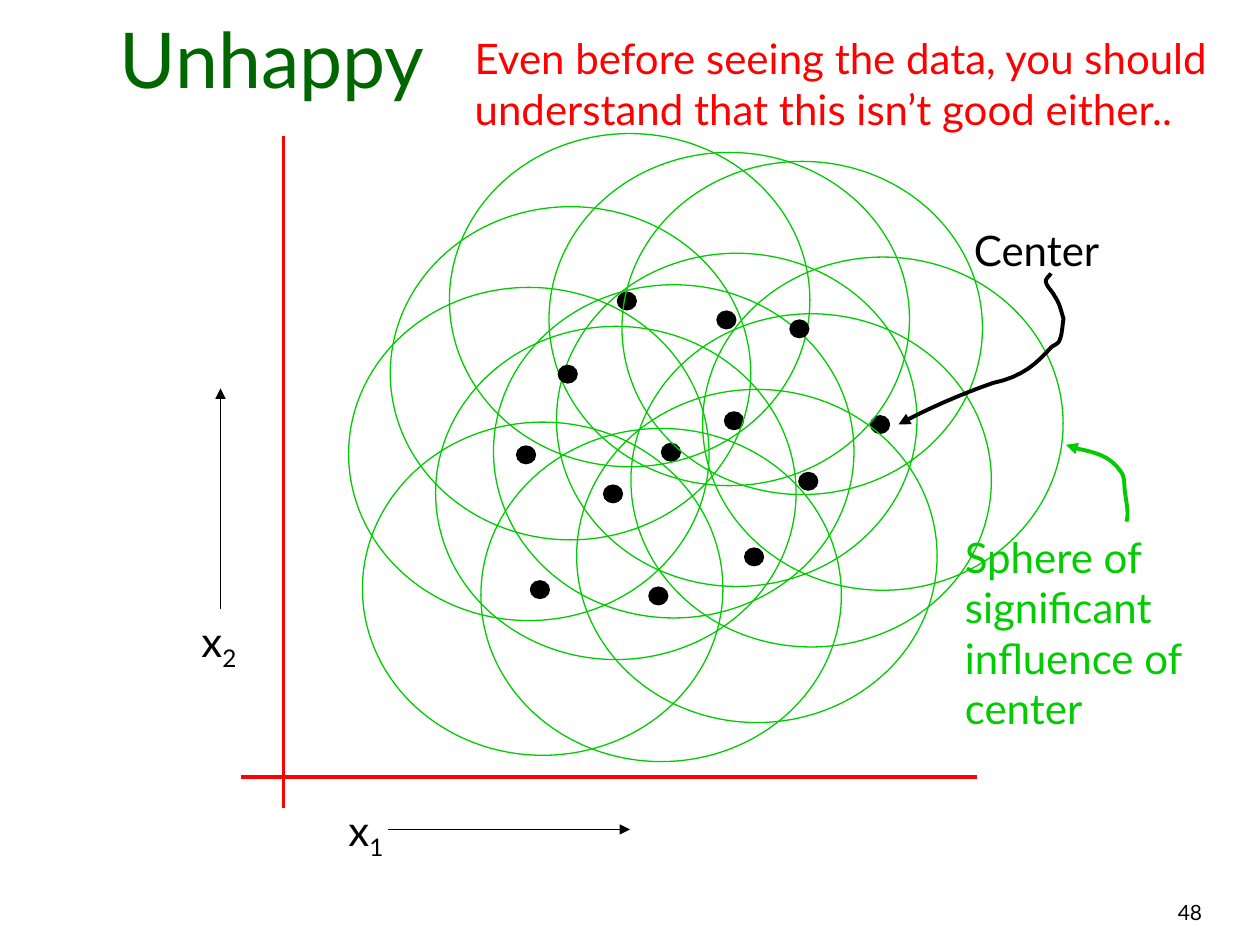
"""Build the slide on radial basis centers whose spheres of influence are too wide."""
from typing import NamedTuple

from lxml import etree
from pptx import Presentation
from pptx.dml.color import RGBColor
from pptx.enum.shapes import MSO_CONNECTOR, MSO_SHAPE
from pptx.enum.text import MSO_ANCHOR, PP_ALIGN
from pptx.oxml.ns import qn
from pptx.util import Pt

STRAIGHT = MSO_CONNECTOR.STRAIGHT
OVAL = MSO_SHAPE.OVAL
BOTTOM = MSO_ANCHOR.BOTTOM
LEFT, CENTER, RIGHT = PP_ALIGN.LEFT, PP_ALIGN.CENTER, PP_ALIGN.RIGHT

FONT = "Lato"
BLACK, RED, GREEN, DARK_GREEN = "000000", "FF0000", "00CC00", "006600"
DOT_SIZE = (10.8, 10.1)
SPHERE_SIZE = (206, 190.4)
SPHERE_OFFSET = (-96, -90.7)
CURVE_STEPS = 8

Point = tuple[float, float]


class Label(NamedTuple):
    text: str
    left: float
    top: float
    width: float
    height: float
    color: str = BLACK
    size: float = 24
    align: PP_ALIGN = LEFT
    subscript: str = ""


class Line(NamedTuple):
    start: Point
    end: Point
    color: str
    width: float
    arrow: bool = False


class Curve(NamedTuple):
    color: str
    start: Point
    segments: list[tuple[Point, Point, Point]]


LABELS = [
    Label("48", 411.8, 510.5, 282.2, 23.8, size=12, align=RIGHT),
    Label("x", 192, 456, 36, 40, subscript="1"),
    Label("x", 108, 348, 36, 40, subscript="2"),
    Label("Center", 549.4, 124.6, 170, 36),
    Label("Sphere of significant influence of center", 544.3, 300.2, 162.7, 122.4, GREEN),
    Label("Even before seeing the data, you should understand that this isn’t good either..",
          264.2, 15.1, 450.7, 93.6, RED),
]

LINES = [
    Line((162, 78), (162, 462), RED, 2.25),
    Line((138, 444), (558, 444), RED, 2.25),
    Line((222, 474), (360, 474), BLACK, 1, True),
    Line((126, 348), (126, 222), BLACK, 1, True),
]

DOTS = [
    (344.9, 277.2), (497.5, 237.6), (378, 253.4), (370.8, 335.5), (425.5, 313.2),
    (295.2, 254.9), (409.7, 177.8), (414, 235.4), (352.8, 167), (303.1, 331.9),
    (319, 208.8), (456.5, 270), (451.4, 182.9),
]

CURVES = [
    Curve(GREEN, (643.7, 298.1), [
        ((645.1, 293), (643.7, 288), (643, 282.2)),
        ((642.2, 278.6), (643, 272.9), (640.8, 270)),
        ((634.3, 259.9), (625, 258.5), (615.6, 256.3)),
        ((612.7, 255.6), (611.3, 254.2), (609.1, 254.2)),
    ]),
    Curve(BLACK, (600.5, 156.2), [
        ((599.8, 157.7), (597.6, 159.1), (597.6, 160.6)),
        ((597.6, 163.4), (601.2, 166.3), (602.6, 169.2)),
        ((605.5, 173.5), (606.2, 177.1), (607.7, 182.2)),
        ((607, 186.5), (607, 190.8), (605.5, 194.4)),
        ((604.8, 196.6), (601.9, 197.3), (600.5, 198.7)),
        ((592.6, 207.4), (584.6, 215.3), (567.4, 218.9)),
        ((548.6, 225.4), (529.2, 234), (513.4, 242.6)),
    ]),
]


def paint(color_format, color: str) -> None:
    color_format.rgb = RGBColor.from_string(color)


def format_text(frame, color: str, size: float, align: PP_ALIGN) -> None:
    frame.word_wrap = True
    para = frame.paragraphs[0]
    para.alignment = align
    for span in para.runs:
        span.font.name = FONT
        span.font.size = Pt(size)
        paint(span.font.color, color)


def draw_title(page) -> None:
    title = page.shapes.title
    title.left, title.top, title.width, title.height = map(Pt, (18, 12.2, 275, 51))
    title.text_frame.text = "Unhappy"
    title.text_frame.vertical_anchor = BOTTOM
    format_text(title.text_frame, DARK_GREEN, 44, CENTER)


def draw_label(page, label: Label) -> None:
    box = page.shapes.add_textbox(*map(Pt, (label.left, label.top, label.width, label.height)))
    box.text_frame.text = label.text
    if label.subscript:
        span = box.text_frame.paragraphs[0].add_run()
        span.text = label.subscript
        span.font._element.set("baseline", "-25000")
    format_text(box.text_frame, label.color, label.size, label.align)


def style_line(shape, color: str, width: float, arrow: bool = False) -> None:
    paint(shape.line.color, color)
    shape.line.width = Pt(width)
    if arrow:
        outline = shape._element.spPr.find(qn("a:ln"))
        etree.SubElement(outline, qn("a:tailEnd"), type="triangle")


def draw_line(page, line: Line) -> None:
    connector = page.shapes.add_connector(STRAIGHT, *map(Pt, line.start + line.end))
    style_line(connector, line.color, line.width, line.arrow)
    etree.SubElement(connector._element.spPr, qn("a:effectLst"))


def draw_ellipse(shapes, corner: Point, size: Point, color: str, filled: bool) -> None:
    ellipse = shapes.add_shape(OVAL, *map(Pt, corner + size))
    ellipse.shadow.inherit = False
    style_line(ellipse, color, 0.75)
    if filled:
        ellipse.fill.solid()
        paint(ellipse.fill.fore_color, color)
    else:
        ellipse.fill.background()


def draw_center(page, dot: Point) -> None:
    group = page.shapes.add_group_shape()
    corner = (dot[0] + SPHERE_OFFSET[0], dot[1] + SPHERE_OFFSET[1])
    draw_ellipse(group.shapes, dot, DOT_SIZE, BLACK, True)
    draw_ellipse(group.shapes, corner, SPHERE_SIZE, GREEN, False)


def curve_points(curve: Curve) -> list[Point]:
    points, start = [], curve.start
    for first, second, end in curve.segments:
        for step in range(1, CURVE_STEPS + 1):
            t = step / CURVE_STEPS
            weights = ((1 - t) ** 3, 3 * t * (1 - t) ** 2, 3 * t ** 2 * (1 - t), t ** 3)
            controls = (start, first, second, end)
            points.append(tuple(Pt(sum(w * point[axis] for w, point in zip(weights, controls)))
                                for axis in (0, 1)))
        start = end
    return points


def draw_curve(page, curve: Curve) -> None:
    builder = page.shapes.build_freeform(*map(Pt, curve.start))
    builder.add_line_segments(curve_points(curve), close=False)
    shape = builder.convert_to_shape()
    shape.shadow.inherit = False
    shape.fill.background()
    style_line(shape, curve.color, 2.25, True)


def main() -> None:
    deck = Presentation()
    deck.slide_width, deck.slide_height = Pt(720), Pt(540)
    page = deck.slides.add_slide(deck.slide_layouts[5])
    draw_title(page)
    for line in LINES:
        draw_line(page, line)
    for dot in DOTS:
        draw_center(page, dot)
    for curve in CURVES:
        draw_curve(page, curve)
    for label in LABELS:
        draw_label(page, label)
    deck.save("out.pptx")


if __name__ == "__main__":
    main()
